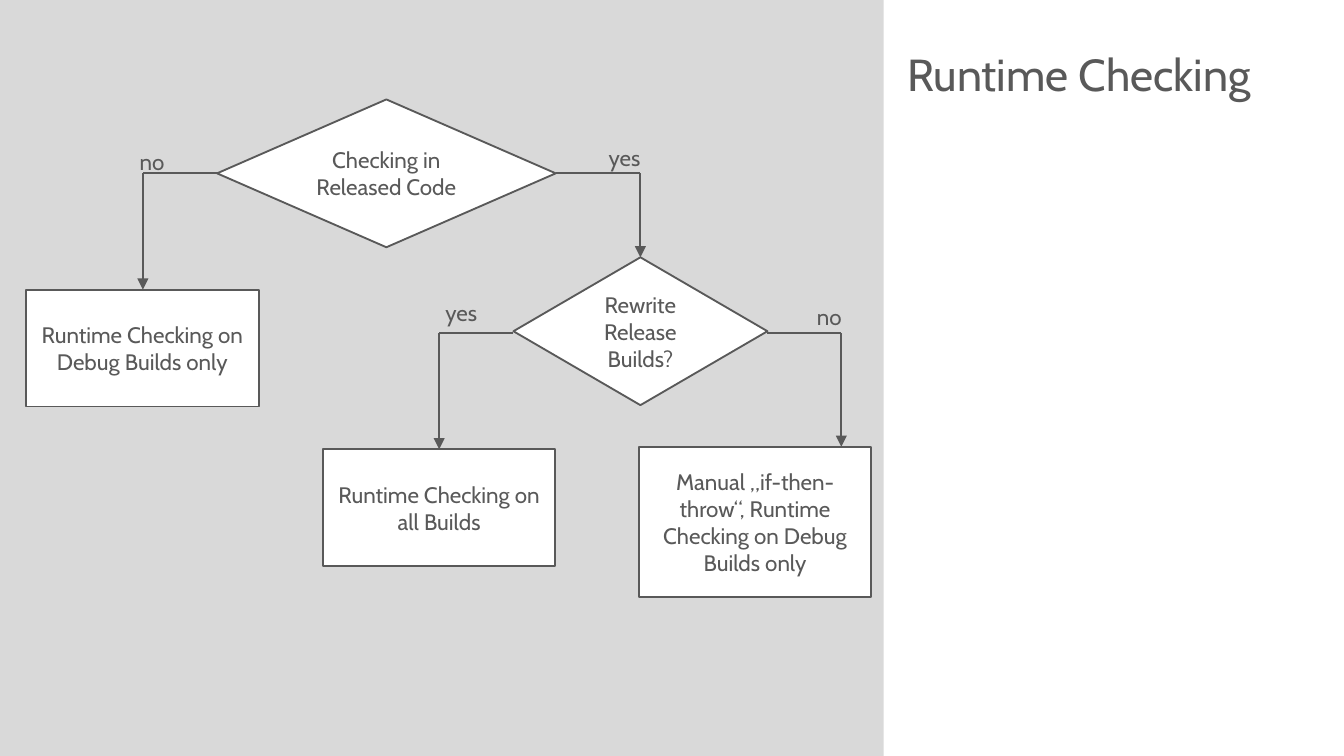
"""Build the runtime checking decision slide."""
import pptx
import pptx.util
import pptx.dml.color
import pptx.enum.shapes
import pptx.enum.text
import pptx.oxml
import pptx.oxml.ns

SHAPE = pptx.enum.shapes.MSO_SHAPE
ALIGN = pptx.enum.text.PP_ALIGN
ANCHOR = pptx.enum.text.MSO_ANCHOR
AUTO_SIZE = pptx.enum.text.MSO_AUTO_SIZE
COLUMNS = 100
ROWS = COLUMNS * 9 / 16


def color(hex_code):
    return pptx.dml.color.RGBColor.from_string(hex_code)


def write(frame, text, font="Cabin", size=12, ink="595959", align=ALIGN.LEFT,
          anchor=ANCHOR.TOP, wrap=True, fit=AUTO_SIZE.NONE, inset=None):
    frame.text = text
    frame.word_wrap = wrap
    frame.auto_size = fit
    frame.vertical_anchor = anchor
    if inset is not None:
        frame.margin_left = frame.margin_right = pptx.util.Inches(inset)
        frame.margin_top = frame.margin_bottom = pptx.util.Inches(inset)
    paragraph = frame.paragraphs[0]
    paragraph.alignment = align
    run_font = paragraph.runs[0].font
    run_font.name = font
    run_font.size = pptx.util.Pt(size)
    run_font.color.rgb = color(ink)


class FlowSlide:
    ink, paper, panel_fill, weight = "595959", "FFFFFF", "D9D9D9", 1

    def __init__(self, deck):
        self.column = deck.slide_width / COLUMNS
        self.row = deck.slide_height / ROWS
        self.slide = deck.slides.add_slide(deck.slide_layouts[5])
        self.shapes = self.slide.shapes

    def cells(self, *lengths):
        units = (self.column, self.row) * 2
        return [round(length * unit) for length, unit in zip(lengths, units)]

    def title(self, text, *box):
        heading = self.shapes.title
        heading.left, heading.top, heading.width, heading.height = self.cells(*box)
        write(heading.text_frame, text, size=24, anchor=ANCHOR.BOTTOM, inset=0)

    def block(self, kind, box, fill):
        block = self.shapes.add_shape(kind, *self.cells(*box))
        block.shadow.inherit = False
        block.fill.solid()
        block.fill.fore_color.rgb = color(fill)
        return block

    def panel(self, *box):
        self.block(SHAPE.RECTANGLE, box, self.panel_fill).line.fill.background()

    def node(self, kind, text, *box):
        node = self.block(kind, box, self.paper)
        node.line.color.rgb = color(self.ink)
        node.line.width = pptx.util.Pt(self.weight)
        write(node.text_frame, text, align=ALIGN.CENTER, anchor=ANCHOR.MIDDLE)

    def decision(self, text, *box):
        self.node(SHAPE.FLOWCHART_DECISION, text, *box)

    def outcome(self, text, *box):
        self.node(SHAPE.RECTANGLE, text, *box)

    def line(self, *ends, arrow=False):
        line = self.shapes.add_connector(
            pptx.enum.shapes.MSO_CONNECTOR.STRAIGHT, *self.cells(*ends))
        line.line.color.rgb = color(self.ink)
        line.line.width = pptx.util.Pt(self.weight)
        if arrow:
            head = pptx.oxml.parse_xml(
                f'<a:tailEnd {pptx.oxml.ns.nsdecls("a")} type="triangle"/>')
            line.line.fill._xPr.append(head)
        line._element.spPr.append(pptx.oxml.parse_xml(
            f'<a:effectLst {pptx.oxml.ns.nsdecls("a")}/>'))

    def branch(self, answer, label_left, label_top, label_width,
               start, turn, level, target):
        self.line(start, level, turn, level)
        self.line(turn, level, turn, target, arrow=True)
        label = self.shapes.add_textbox(
            *self.cells(label_left, label_top, label_width, 3))
        write(label.text_frame, answer, wrap=False,
              fit=AUTO_SIZE.SHAPE_TO_FIT_TEXT)


deck = pptx.Presentation()
deck.slide_width = pptx.util.Inches(10)
deck.slide_height = deck.slide_width * 9 // 16

flow = FlowSlide(deck)
flow.panel(0, 0, 65.75, ROWS)
flow.title("Runtime Checking", 67.5, 2, 29.7, 5.5)

flow.decision("Checking in Released Code", 16.15, 7.4, 25.2, 11)
flow.decision("Rewrite Release Builds?", 38.2, 19.15, 18.9, 11)

for conclusion, left, top, height in (
    ("Runtime Checking on Debug Builds only", 1.95, 21.55, 8.7),
    ("Runtime Checking on all Builds", 24.03, 33.43, 8.7),
    ("Manual „if-then-throw“, Runtime Checking on Debug Builds only",
     47.54, 33.25, 11.2),
):
    flow.outcome(conclusion, left, top, 17.3, height)

for branch in (
    ("no", 9.4, 10.55, 3.9, 16.15, 10.63, 12.9, 21.55),
    ("yes", 44.3, 10.2, 4.4, 41.35, 47.65, 12.9, 19.15),
    ("yes", 32.15, 21.75, 4.4, 38.2, 32.68, 24.8, 33.43),
    ("no", 59.8, 22.1, 3.9, 57.1, 62.6, 24.8, 33.25),
):
    flow.branch(*branch)

deck.save("out.pptx")
